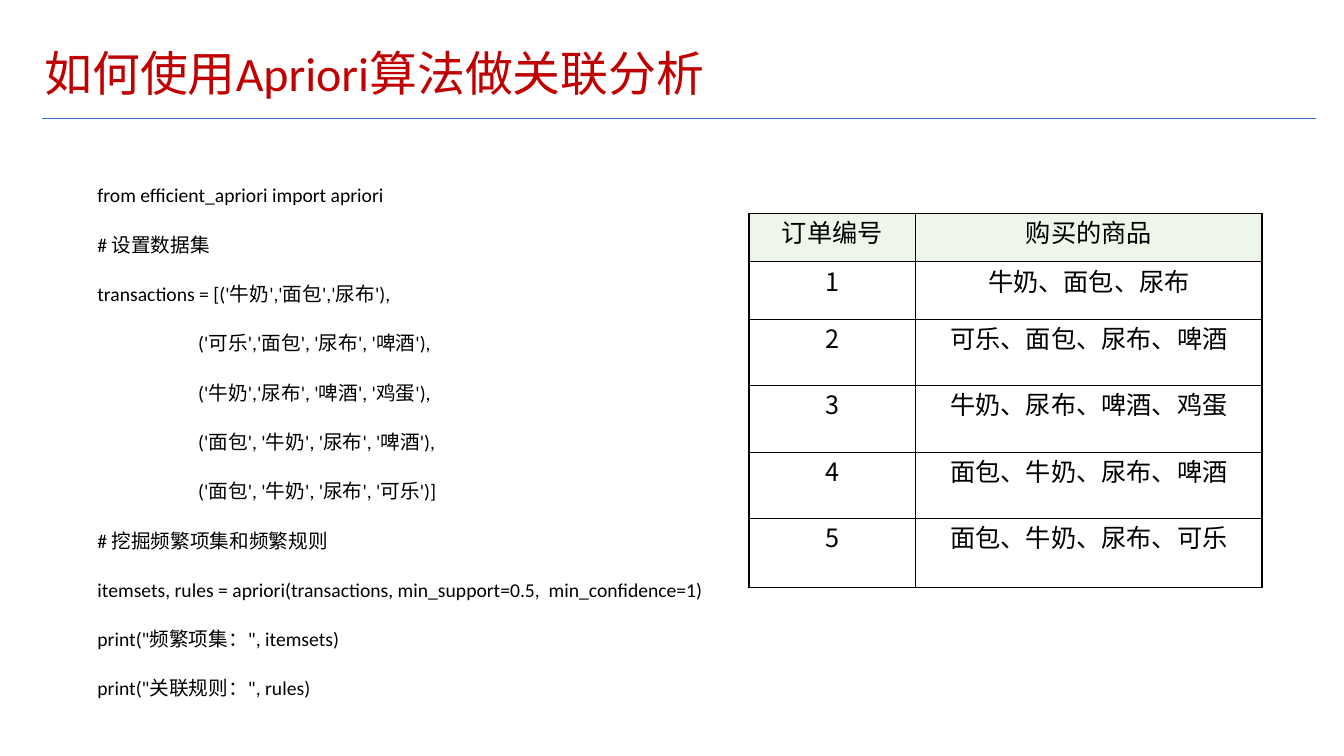
from lxml import etree
from pptx import Presentation
from pptx.dml.color import RGBColor
from pptx.enum import shapes, text
from pptx.oxml import ns
from pptx.util import Pt

CODE = """from efficient_apriori import apriori
# 设置数据集
transactions = [('牛奶','面包','尿布'),
\t\t('可乐','面包', '尿布', '啤酒'),
\t\t('牛奶','尿布', '啤酒', '鸡蛋'),
\t\t('面包', '牛奶', '尿布', '啤酒'),
\t\t('面包', '牛奶', '尿布', '可乐')]
# 挖掘频繁项集和频繁规则
itemsets, rules = apriori(transactions, min_support=0.5,  min_confidence=1)
print("频繁项集：", itemsets)
print("关联规则：", rules)""".split("\n")

ORDERS = [
    ("订单编号", "购买的商品"),
    ("1", "牛奶、面包、尿布"),
    ("2", "可乐、面包、尿布、啤酒"),
    ("3", "牛奶、尿布、啤酒、鸡蛋"),
    ("4", "面包、牛奶、尿布、啤酒"),
    ("5", "面包、牛奶、尿布、可乐"),
]


def color(value):
    return RGBColor.from_string(value)


def assign(target, **values):
    for name, value in values.items():
        setattr(target, name, value)


def add_xml(parent, tag, **attributes):
    return etree.SubElement(parent, ns.qn(tag), attributes)


class SlideBuilder:
    latin, chinese = "Calibri", "Noto Sans CJK SC"
    black, red, blue = "000000", "C00000", "3F6FC3"
    header_fill, border = "EDF6E8", "080000"

    def __init__(self, slide):
        self.slide = slide

    def add_text(self, paragraph, content, size, ink, latin, **paragraph_format):
        assign(paragraph, **paragraph_format)
        run = paragraph.add_run()
        run.text = content
        assign(run.font, size=Pt(size), name=latin, bold=False)
        run.font.color.rgb = color(ink)
        add_xml(run.font._element, "a:ea", typeface=self.chinese)

    def place(self, shape, left, top, width, height, anchor):
        assign(shape, left=Pt(left), top=Pt(top), width=Pt(width), height=Pt(height))
        inset = Pt(3.6)
        assign(shape.text_frame, margin_left=inset, margin_right=inset,
               margin_top=inset, margin_bottom=inset, word_wrap=True,
               auto_size=text.MSO_AUTO_SIZE.NONE, vertical_anchor=anchor)
        return shape.text_frame

    def title(self, content, *box):
        frame = self.place(self.slide.shapes.title, *box, text.MSO_ANCHOR.MIDDLE)
        self.add_text(frame.paragraphs[0], content, 34.2, self.red, self.latin,
                      alignment=text.PP_ALIGN.JUSTIFY, line_spacing=0.9)

    def code(self, lines, *box):
        frame = self.place(self.slide.placeholders[1], *box, text.MSO_ANCHOR.TOP)
        for index, line in enumerate(lines):
            paragraph = frame.add_paragraph() if index else frame.paragraphs[0]
            properties = paragraph._p.get_or_add_pPr()
            properties.set("marL", "0")
            properties.set("indent", "0")
            add_xml(properties, "a:buNone")
            self.add_text(paragraph, line, 14, self.black, self.latin,
                          line_spacing=1.5, space_before=Pt(10 if index else 0))

    def rule(self, left, right, top):
        line = self.slide.shapes.add_connector(
            shapes.MSO_CONNECTOR.STRAIGHT, Pt(left), Pt(top), Pt(right), Pt(top))
        line.line.color.rgb = color(self.blue)
        line.line.width = Pt(0.75)
        add_xml(line._element.spPr, "a:effectLst")

    def outline(self, cell):
        """Draw all four cell borders; they must precede the fill in the XML."""
        properties = cell._tc.get_or_add_tcPr()
        for side in ("a:lnL", "a:lnR", "a:lnT", "a:lnB"):
            edge = add_xml(properties, side, w=str(Pt(1)))
            add_xml(add_xml(edge, "a:solidFill"), "a:srgbClr", val=self.border)

    def table(self, rows, left, top, widths, heights):
        table = self.slide.shapes.add_table(
            len(rows), len(widths), Pt(left), Pt(top),
            Pt(sum(widths)), Pt(sum(heights))).table
        assign(table, first_row=False, horz_banding=False)
        for column, width in zip(table.columns, widths):
            column.width = Pt(width)
        for index, (row, height, values) in enumerate(zip(table.rows, heights, rows)):
            row.height = Pt(height)
            for cell, value in zip(row.cells, values):
                assign(cell, margin_left=Pt(0.75), margin_right=Pt(0.75),
                       margin_top=0, margin_bottom=0)
                self.outline(cell)
                if index:
                    cell.fill.background()
                else:
                    cell.fill.solid()
                    cell.fill.fore_color.rgb = color(self.header_fill)
                self.add_text(cell.text_frame.paragraphs[0], value, 18, self.black,
                              self.chinese, alignment=text.PP_ALIGN.CENTER)


def main():
    presentation = Presentation()
    assign(presentation, slide_width=Pt(960), slide_height=Pt(540))
    builder = SlideBuilder(presentation.slides.add_slide(presentation.slide_layouts[1]))
    builder.rule(30, 940, 84.5)
    builder.title("如何使用Apriori算法做关联分析", 28, 29, 801, 51)
    builder.code(CODE, 66, 119, 817, 390)
    builder.table(ORDERS, 535, 152.5, [119, 247.5], [34.5, 41] + [47.5] * 3 + [49])
    presentation.save("out.pptx")


if __name__ == "__main__":
    main()
